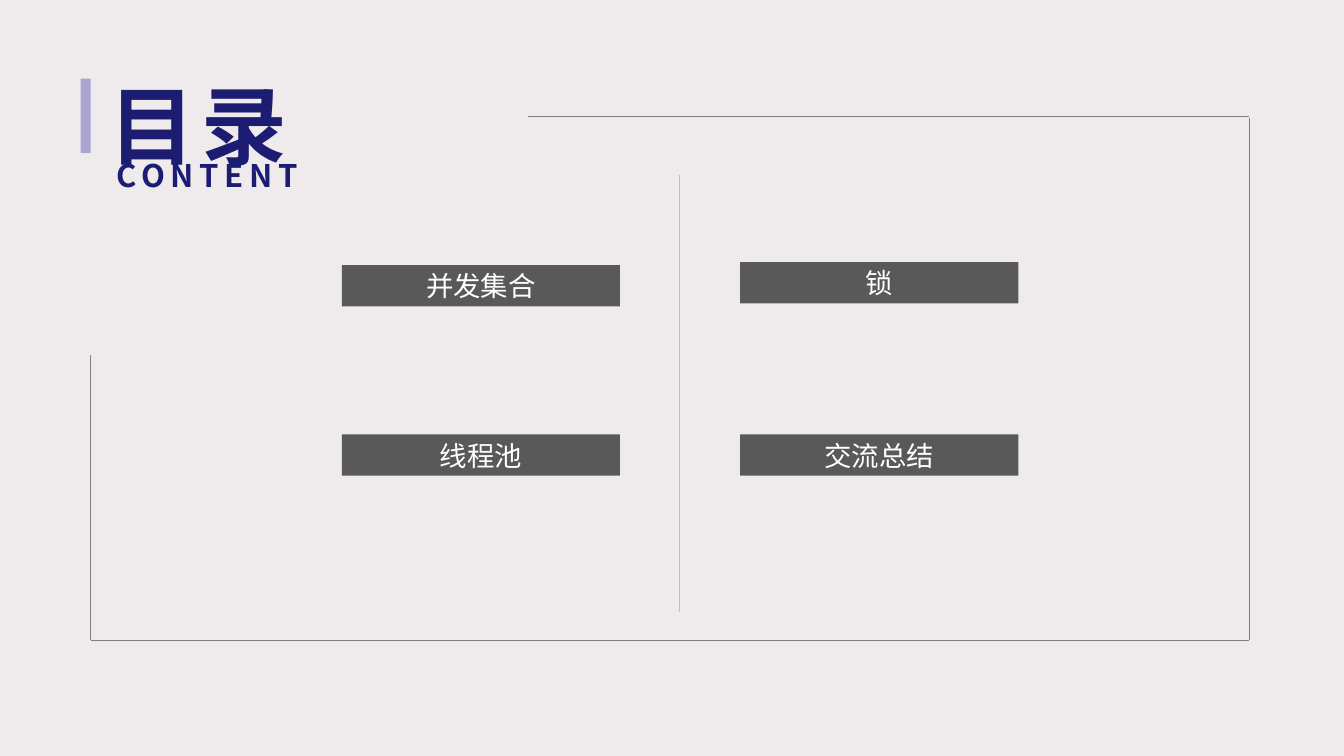
"""Build the contents slide: a heading, four topic bars and an open frame."""
from lxml import etree
from pptx import Presentation
from pptx.dml.color import RGBColor
from pptx.enum import shapes, text
from pptx.oxml import ns
from pptx.util import Inches, Pt

FONT = "Noto Sans CJK SC"
NAVY = "1C1C73"


def color(value):
    return RGBColor.from_string(value)


def write(sp, words, size, fill, align, bold=False, spacing=0):
    tf = sp.text_frame
    tf.auto_size = text.MSO_AUTO_SIZE.NONE
    tf.vertical_anchor = text.MSO_ANCHOR.MIDDLE
    p = tf.paragraphs[0]
    p.alignment = align
    p.font.name = FONT
    p.font.size = Pt(size)
    p.font.bold = bold
    p.font.color.rgb = color(fill)
    r = p.add_run()
    r.text = words
    props = r._r.get_or_add_rPr()
    props.set("spc", str(spacing * 100))
    etree.SubElement(props, ns.qn("a:ea")).set("typeface", FONT)
    return tf


prs = Presentation()
prs.slide_width, prs.slide_height = Inches(13.33), Inches(7.5)
s = prs.slides.add_slide(prs.slide_layouts[5])
s.background.fill.solid()
s.background.fill.fore_color.rgb = color("EFEBEC")

title = s.shapes.title
title.left, title.top = Inches(0.99), Inches(0.73)
title.width, title.height = Inches(4.02), Inches(1.01)
write(title, "目录", 61.2, NAVY, text.PP_ALIGN.LEFT, True, 4)

subtitle = s.shapes.add_textbox(Inches(1.06), Inches(1.54), Inches(1.74), Inches(0.4))
tf = write(subtitle, "CONTENT", 22.2, NAVY, text.PP_ALIGN.JUSTIFY, True, 4)
tf.word_wrap = False

bars = [
    (0.8, 0.78, 0.1, 0.74, "AAA4D1", ""),
    (3.39, 2.63, 2.76, 0.41, "595959", "并发集合"),
    (7.34, 2.6, 2.76, 0.41, "595959", "锁"),
    (3.39, 4.31, 2.76, 0.41, "595959", "线程池"),
    (7.34, 4.31, 2.76, 0.41, "595959", "交流总结"),
]
for left, top, width, height, fill, topic in bars:
    sp = s.shapes.add_shape(shapes.MSO_SHAPE.RECTANGLE, Inches(left), Inches(top),
                            Inches(width), Inches(height))
    sp.shadow.inherit = False
    sp.fill.solid()
    sp.fill.fore_color.rgb = color(fill)
    sp.line.fill.background()
    if topic:
        tf = write(sp, topic, 19.6, "FFFFFF", text.PP_ALIGN.CENTER)
        tf.word_wrap = False
        tf.margin_left = tf.margin_right = Inches(0.13)
        tf.margin_top = tf.margin_bottom = Inches(0.07)

lines = [
    (6.74, 1.74, 6.74, 6.07, "BFBFBF"),
    (5.24, 1.15, 12.39, 1.15, "808080"),
    (12.39, 1.17, 12.39, 6.35, "808080"),
    (12.39, 6.35, 0.9, 6.35, "808080"),
    (0.9, 6.35, 0.9, 3.52, "808080"),
]
for x1, y1, x2, y2, stroke in lines:
    line = s.shapes.add_connector(shapes.MSO_CONNECTOR.STRAIGHT, Inches(x1), Inches(y1),
                                  Inches(x2), Inches(y2))
    line.line.color.rgb = color(stroke)
    line.line.width = Pt(0.5)
    etree.SubElement(line._element.spPr, ns.qn("a:effectLst"))

prs.save("out.pptx")
